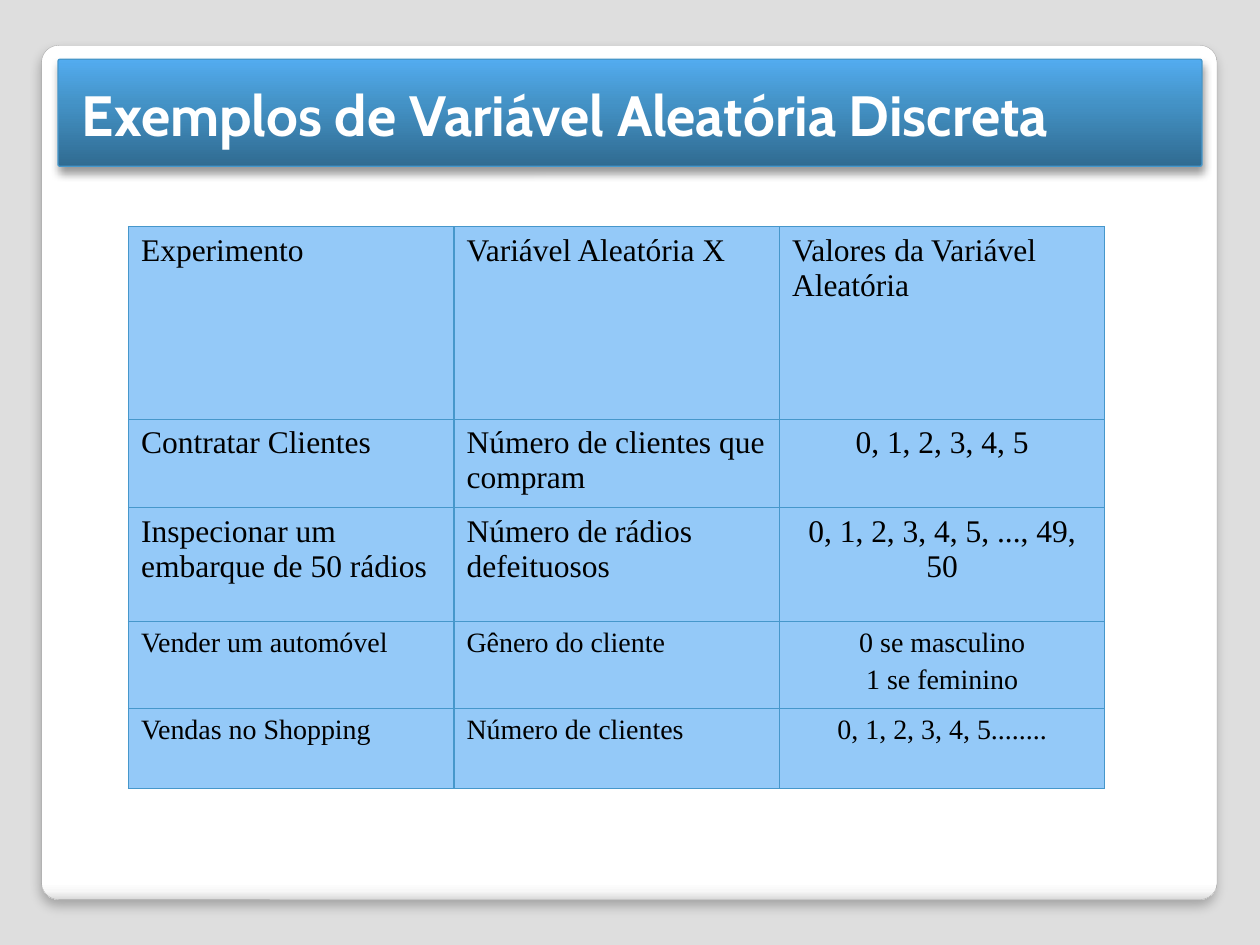
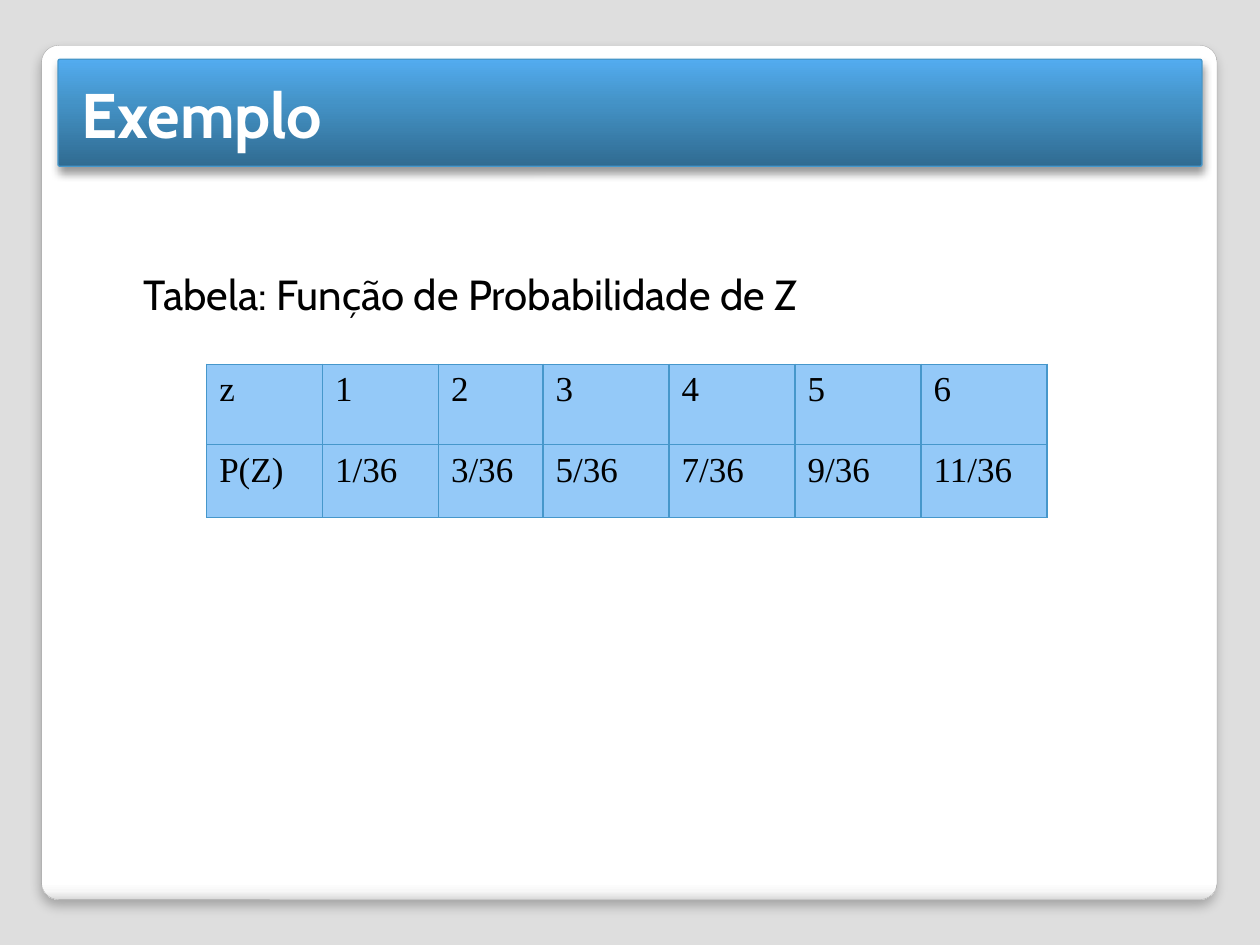
from dataclasses import dataclass
from lxml.etree import SubElement
from pptx import Presentation
from pptx.dml.color import RGBColor
from pptx.enum.shapes import MSO_SHAPE
from pptx.enum.text import MSO_ANCHOR, PP_ALIGN
from pptx.oxml.ns import qn
from pptx.util import Inches, Pt


@dataclass(frozen=True)
class Theme:
    """Colours, fonts and type sizes of the deck."""
    back: str = "DEDEDE"
    edge: str = "A4A4A4"
    rule: str = "4697CB"
    cell: str = "94C9F8"
    ink: str = "000000"
    white: str = "FFFFFF"
    card: tuple = ((0, "FFFFFF"), (98, "FFFFFF"), (99, "F7F7F7"), (100, "DADADA"))
    band: tuple = ((0, "306B91"), (60, "4493C7"), (100, "53ACF0"))
    head: str = "Cabin"
    body: str = "Times New Roman"
    title: float = 36
    long: float = 32.4
    note: float = 24
    value: float = 20
    text: float = 18
    small: float = 16


THEME = Theme()


def rgb(code):
    """Turn a hex code into a colour."""
    return RGBColor.from_string(code)


def node(parent, tag, **attrs):
    """Append a drawing element with its attributes."""
    return SubElement(parent, qn(f"a:{tag}"), {k: str(v) for k, v in attrs.items()})


def write(frame, text, font=THEME.body, size=THEME.text, color=THEME.ink,
          bold=False, align=PP_ALIGN.LEFT, before=20):
    """Fill a text frame, one paragraph to each line, with space in percent."""
    frame.text = text
    for para in frame.paragraphs:
        para.alignment = align
        gap = node(para._p.get_or_add_pPr(), "spcBef")
        node(gap, "spcPct", val=before * 1000)
        for run in para.runs:
            run.font.name, run.font.size, run.font.bold = font, Pt(size), bold
            run.font.color.rgb = rgb(color)


def panel(slide, box, stops, angle, line, width, shade):
    """Draw a rounded panel with a gradient and a soft shadow."""
    shape = slide.shapes.add_shape(MSO_SHAPE.ROUNDED_RECTANGLE, *map(Inches, box))
    shape.adjustments[0] = 0.02
    shape.fill.gradient()
    shape.fill.gradient_angle = angle
    ramp = shape.element.spPr.find(".//" + qn("a:gsLst"))
    for stop in list(ramp):
        ramp.remove(stop)
    for place, code in stops:
        node(node(ramp, "gs", pos=place * 1000), "srgbClr", val=code)
    shape.line.color.rgb = rgb(line)
    shape.line.width = Pt(width)
    shape.shadow.inherit = False
    alpha, blur, drop = shade
    glow = node(shape.element.spPr.find(qn("a:effectLst")), "outerShdw",
                blurRad=Pt(blur), dist=Pt(drop), dir=5400000, rotWithShape=0)
    node(node(glow, "srgbClr", val=THEME.ink), "alpha", val=alpha * 1000)
    return shape


def dress(layout, slide):
    """Give the layout its backdrop, card, title band and title box."""
    fill = layout.background.fill
    fill.solid()
    fill.fore_color.rgb = rgb(THEME.back)
    card = panel(slide, (0.33, 0.36, 9.33, 6.78), THEME.card, 270,
                 THEME.edge, 0.16, (25, 6, 4))
    band = panel(slide, (0.46, 0.47, 9.08, 0.85), THEME.band, 90,
                 THEME.rule, 0.75, (40, 5.2, 3))
    for spot, shape in enumerate((card, band), 2):
        layout.shapes.element.insert(spot, shape.element)
    title = next(p for p in layout.placeholders if p.placeholder_format.idx == 0)
    title.left, title.top, title.width, title.height = map(
        Inches, (0.55, 0.47, 8.95, 0.86))


def head(slide, text, size):
    """Set the slide title."""
    frame = slide.shapes.title.text_frame
    write(frame, text, font=THEME.head, size=size, color=THEME.white,
          bold=True, before=0)
    frame.vertical_anchor = MSO_ANCHOR.MIDDLE
    frame.word_wrap = True


def border(cell):
    """Rule all four sides of a cell."""
    props = cell._tc.get_or_add_tcPr()
    for spot, side in enumerate(("lnL", "lnR", "lnT", "lnB")):
        line = node(props, side, w=Pt(0.75))
        node(node(line, "solidFill"), "srgbClr", val=THEME.rule)
        props.insert(spot, line)


def grid(slide, box, rows, cols, highs, style):
    """Draw a ruled table, with the text format given by style(row, col)."""
    table = slide.shapes.add_table(len(rows), len(cols), *map(Inches, box)).table
    table.first_row = table.horz_banding = False
    for col, width in zip(table.columns, cols):
        col.width = Inches(width)
    for r, (row, high) in enumerate(zip(rows, highs)):
        table.rows[r].height = Inches(high)
        for c, text in enumerate(row):
            cell = table.cell(r, c)
            cell.fill.solid()
            cell.fill.fore_color.rgb = rgb(THEME.cell)
            border(cell)
            write(cell.text_frame, text, **style(r, c))


def samples(slide, box):
    """Show the examples of discrete random variables."""
    rows = [
        ("Experimento", "Variável Aleatória X", "Valores da Variável Aleatória"),
        ("Contratar Clientes", "Número de clientes que compram", "0, 1, 2, 3, 4, 5"),
        ("Inspecionar um embarque de 50 rádios", "Número de rádios defeituosos",
         "0, 1, 2, 3, 4, 5, ..., 49, 50"),
        ("Vender um automóvel", "Gênero do cliente", "0 se masculino\n1 se feminino"),
        ("Vendas no Shopping", "Número de clientes", "0, 1, 2, 3, 4, 5........"),
    ]

    def style(r, c):
        """Centre the values and shrink the last rows."""
        return {"size": THEME.small if r > 2 else THEME.text,
                "align": PP_ALIGN.CENTER if r and c == 2 else PP_ALIGN.LEFT}

    head(slide, "Exemplos de Variável Aleatória Discreta", THEME.long)
    grid(slide, box, rows, [box[2] / 3] * 3, (1.53, 0.7, 0.9, 0.69, 0.64), style)


def chances(slide, box):
    """Show the probability function of Z under its caption."""
    left, top, width, high = box
    head(slide, "Exemplo", THEME.title)
    faces = range(1, 7)
    rows = [["z", *map(str, faces)],
            ["P(Z)", *(f"{2 * n - 1}/36" for n in faces)]]
    grid(slide, (left + 0.6, top + 0.81, width, high), rows,
         [0.92, 0.92, 0.83] + [1] * 4, (0.64, 0.58),
         lambda r, c: {"size": THEME.value})
    note = slide.shapes.add_textbox(*map(Inches, (left, top, 5.88, 0.51)))
    note.text_frame.word_wrap = True
    write(note.text_frame, "Tabela: Função de Probabilidade de Z",
          font=THEME.head, size=THEME.note)


def main():
    """Build and save the deck."""
    deck = Presentation()
    deck.slide_width, deck.slide_height = Inches(10), Inches(7.5)
    layout = deck.slide_layouts[5]
    first, second = (deck.slides.add_slide(layout) for _ in range(2))
    dress(layout, first)
    samples(first, (1.02, 1.8, 7.75, 4.46))
    chances(second, (1.04, 2.08, 6.67, 1.22))
    deck.save("out.pptx")


if __name__ == "__main__":
    main()
